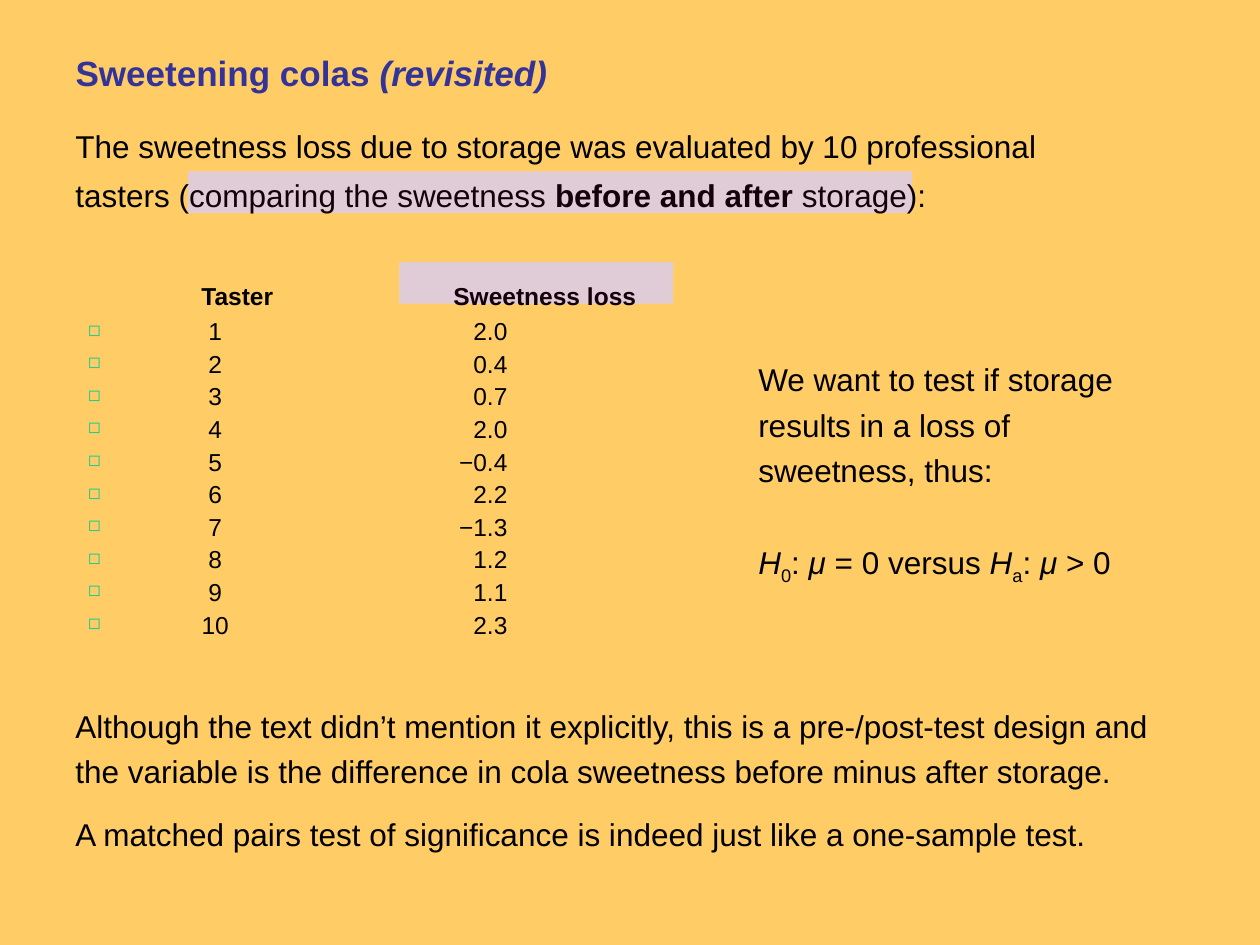
from dataclasses import dataclass

from lxml import etree
from pptx import Presentation
from pptx.dml.color import RGBColor
from pptx.enum.shapes import MSO_SHAPE
from pptx.enum.text import MSO_ANCHOR, MSO_AUTO_SIZE, PP_ALIGN
from pptx.oxml.ns import qn
from pptx.util import Inches, Pt

RECTANGLE = MSO_SHAPE.RECTANGLE
TOP = MSO_ANCHOR.TOP
NO_FIT = MSO_AUTO_SIZE.NONE
LEFT = PP_ALIGN.LEFT
TITLE_ONLY = 5


@dataclass(frozen=True)
class Theme:
    font: str = "Arial"
    background: str = "FFCC66"
    heading: str = "333399"
    text: str = "000000"
    bullet: str = "00CC99"
    highlight_base: str = "FFFFFF"
    highlight_tint: str = "660033"
    tint_alpha: int = 20
    title_size: int = 20
    body_size: int = 18
    data_size: int = 14


THEME = Theme()
MARGIN = 0.5
BOLD = {"bold": True}
ITALIC = {"italic": True}

HIGHLIGHTS = [(3.17, 2.08, 2.17, 0.33), (1.49, 1.36, 5.75, 0.33)]
HEADER_TABS = [(1, "l"), (3, "l")]
ROW_TABS = [(1.11, "ctr"), (3.43, "r")]
SWEETNESS_LOSS = ["2.0", "0.4", "0.7", "2.0", "−0.4", "2.2", "−1.3", "1.2", "1.1", "2.3"]

TITLE = [("Sweetening colas ", {}), ("(revisited)", ITALIC)]
INTRO = [
    ("The sweetness loss due to storage was evaluated by 10 professional "
     "tasters (comparing the sweetness ", {}),
    ("before and after", BOLD),
    (" storage):", {}),
]
AIM = [("We want to test if storage results in a loss of sweetness, thus:", {})]
HYPOTHESES = [
    ("H", ITALIC), ("0", {"baseline": -25}), (": ", {}), ("μ", ITALIC),
    (" = 0 versus ", {}),
    ("H", ITALIC), ("a", {"baseline": -25}), (": ", {}), ("μ", ITALIC),
    (" > 0", {}),
]
DESIGN = [("Although the text didn’t mention it explicitly, this is a "
           "pre-/post-test design and the variable is the difference in cola "
           "sweetness before minus after storage.", {})]
CONCLUSION = [("A matched pairs test of significance is indeed just like a "
               "one-sample test.", {})]


def apply(target, values):
    for name, value in values.items():
        setattr(target, name, value)


def box(left, top, width, height):
    return [Inches(length) for length in (left, top, width, height)]


def add_child(parent, tag, **attributes):
    return etree.SubElement(parent, qn(tag), attributes)


def add_bullet(paragraph):
    properties = paragraph._p.get_or_add_pPr()
    properties.set("marL", "0")
    properties.set("indent", str(Inches(0.1)))
    add_child(add_child(properties, "a:buClr"), "a:srgbClr", val=THEME.bullet)
    add_child(properties, "a:buSzPct", val="65000")
    add_child(properties, "a:buChar", char="◻")


def add_tabs(paragraph, stops):
    tab_list = add_child(paragraph._p.get_or_add_pPr(), "a:tabLst")
    for position, alignment in stops:
        add_child(tab_list, "a:tab", pos=str(Inches(position)), algn=alignment)


def write_paragraph(paragraph, runs, size, color=THEME.text, spacing=None, **base):
    apply(paragraph, {"alignment": LEFT, **(spacing or {})})
    for text, style in runs:
        run = paragraph.add_run()
        run.text = text
        values = {"name": THEME.font, "size": Pt(size), **base, **style}
        offset = values.pop("baseline", None)
        apply(run.font, values)
        run.font.color.rgb = RGBColor.from_string(color)
        if offset:
            run._r.get_or_add_rPr().set("baseline", str(offset * 1000))


def prepare_frame(frame):
    apply(frame, {
        "word_wrap": True, "auto_size": NO_FIT, "vertical_anchor": TOP,
        "margin_left": Inches(0.1), "margin_right": Inches(0.1),
        "margin_top": Inches(0.05), "margin_bottom": Inches(0.05),
    })
    return frame


def add_frame(slide, *bounds):
    return prepare_frame(slide.shapes.add_textbox(*box(*bounds)).text_frame)


def add_title(slide):
    title = slide.shapes.title
    apply(title, dict(zip(("left", "top", "width", "height"),
                          box(MARGIN, 0.36, 8.5, 0.45))))
    frame = prepare_frame(title.text_frame)
    write_paragraph(frame.paragraphs[0], TITLE, THEME.title_size, THEME.heading, **BOLD)


def add_prose(slide, bounds, paragraphs, line_spacing, gap=0):
    frame = add_frame(slide, *bounds)
    for index, runs in enumerate(paragraphs):
        paragraph = frame.add_paragraph() if index else frame.paragraphs[0]
        spacing = {"line_spacing": line_spacing, "space_before": Pt(gap if index else 0)}
        write_paragraph(paragraph, runs, THEME.body_size, spacing=spacing)


def add_measurements(slide):
    frame = add_frame(slide, MARGIN, 2.21, 5, 3)
    header = frame.paragraphs[0]
    add_tabs(header, HEADER_TABS)
    write_paragraph(header, [("\tTaster\tSweetness loss", BOLD)], THEME.data_size,
                    spacing={"line_spacing": 0.9, "space_after": Pt(1.4)})
    for taster, loss in enumerate(SWEETNESS_LOSS, start=1):
        row = frame.add_paragraph()
        add_bullet(row)
        add_tabs(row, ROW_TABS)
        write_paragraph(row, [(f"\t{taster}\t{loss}", {})], THEME.data_size,
                        spacing={"line_spacing": 0.9, "space_before": Pt(3.5)})


def add_highlights(slide, color, alpha=None):
    for bounds in HIGHLIGHTS:
        highlight = slide.shapes.add_shape(RECTANGLE, *box(*bounds))
        highlight.shadow.inherit = False
        highlight.line.fill.background()
        highlight.fill.solid()
        highlight.fill.fore_color.rgb = RGBColor.from_string(color)
        if alpha is not None:
            tint = highlight._element.spPr.find(qn("a:solidFill")).find(qn("a:srgbClr"))
            add_child(tint, "a:alpha", val=str(alpha * 1000))


def main():
    deck = Presentation()
    apply(deck, {"slide_width": Inches(10), "slide_height": Inches(7.5)})
    slide = deck.slides.add_slide(deck.slide_layouts[TITLE_ONLY])
    slide.background.fill.solid()
    slide.background.fill.fore_color.rgb = RGBColor.from_string(THEME.background)

    add_title(slide)
    add_highlights(slide, THEME.highlight_base)
    add_prose(slide, (MARGIN, 0.87, 8.5, 0.95), [INTRO], 1.3)
    add_measurements(slide)
    add_prose(slide, (5.92, 2.75, 3.5, 1.95), [AIM, HYPOTHESES], 1.2, gap=26)
    add_highlights(slide, THEME.highlight_tint, THEME.tint_alpha)
    add_prose(slide, (MARGIN, 5.5, 8.92, 1.32), [DESIGN, CONCLUSION], 1.2, gap=10)
    deck.save("out.pptx")


if __name__ == "__main__":
    main()
